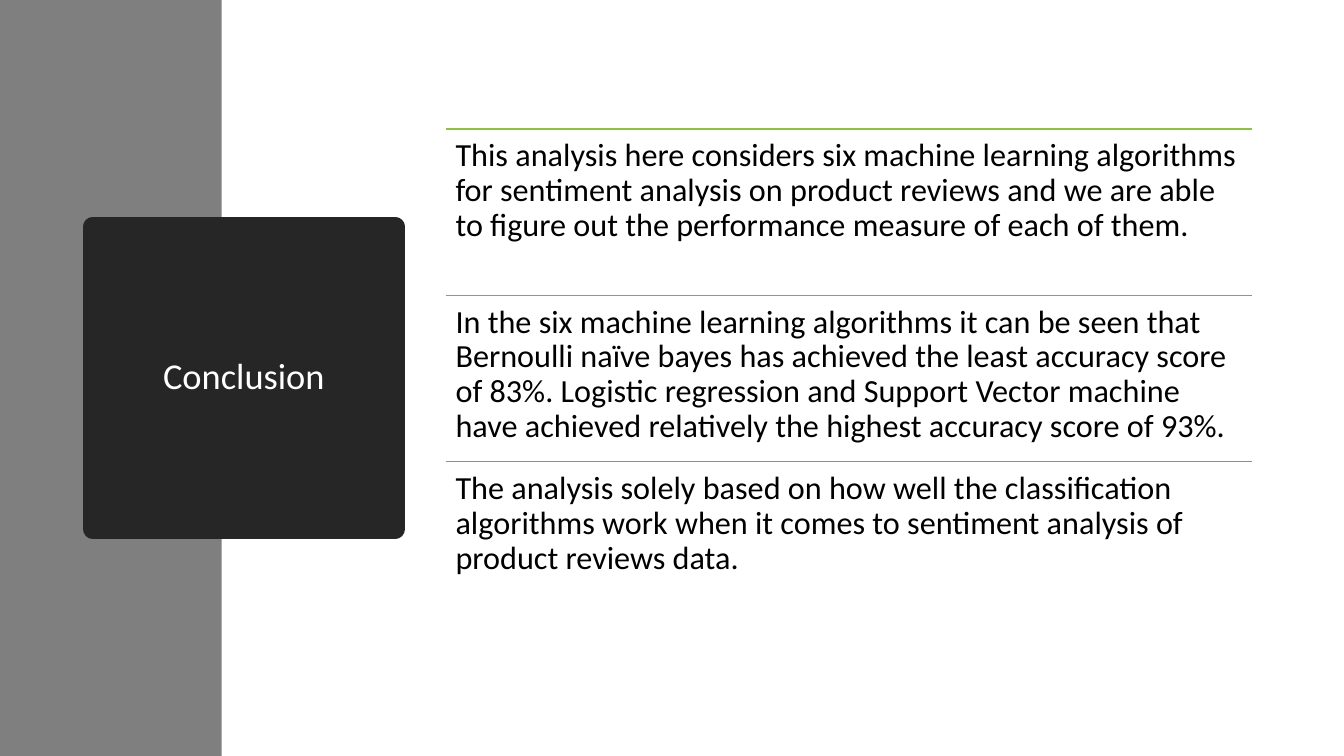
from dataclasses import dataclass

from lxml import etree
from pptx import Presentation
from pptx.dml.color import RGBColor
from pptx.enum.shapes import MSO_CONNECTOR as Connector, MSO_SHAPE as Shape
from pptx.enum.text import MSO_ANCHOR as Anchor, PP_ALIGN as Align
from pptx.oxml.ns import qn
from pptx.util import Inches, Pt


@dataclass(frozen=True)
class Theme:
    font: str = "Calibri"
    title_size: float = 26
    body_size: float = 23
    band: str = "7F7F7F"
    title_box: str = "262626"
    title_text: str = "FFFFFF"
    body_text: str = "000000"
    rules: tuple = ("8BC145", "3EC76A", "36AFCE")


FINDINGS = (
    "This analysis here considers six machine learning algorithms for sentiment "
    "analysis on product reviews and we are able to figure out the performance "
    "measure of each of them.",
    "In the six machine learning algorithms it can be seen that Bernoulli naïve "
    "bayes has achieved the least accuracy score of 83%. Logistic regression and "
    "Support Vector machine have achieved relatively the highest accuracy score of 93%.",
    "The analysis solely based on how well the classification algorithms work when "
    "it comes to sentiment analysis of product reviews data.",
)


def write_text(frame, text, *, font, size, color, align=Align.LEFT,
               anchor=Anchor.TOP, inset=0.1):
    frame.word_wrap = True
    frame.vertical_anchor = anchor
    frame.margin_left = frame.margin_right = Inches(inset)
    frame.margin_top = frame.margin_bottom = Inches(inset)
    para = frame.paragraphs[0]
    para.alignment = align
    para.line_spacing = 0.9
    span = para.add_run()
    span.text = text
    span.font.name = font
    span.font.size = Pt(size)
    span.font.color.rgb = RGBColor.from_string(color)


class SlideBuilder:
    def __init__(self, page, theme):
        self.page = page
        self.theme = theme

    def rectangle(self, left, top, width, height, color, border=0):
        """Draw a filled rectangle; a border has the fill colour and round corners."""
        box = self.page.shapes.add_shape(
            Shape.RECTANGLE, Inches(left), Inches(top), Inches(width), Inches(height))
        box.shadow.inherit = False
        box.fill.solid()
        box.fill.fore_color.rgb = RGBColor.from_string(color)
        if border:
            box.line.color.rgb = RGBColor.from_string(color)
            box.line.width = Pt(border)
            etree.SubElement(box.line._get_or_add_ln(), qn("a:round"))
        else:
            box.line.fill.background()
        return box

    def title(self, text, left, top, side):
        box = self.rectangle(left, top, side, side, self.theme.title_box, border=13.75)
        write_text(box.text_frame, text, font=self.theme.font,
                   size=self.theme.title_size, color=self.theme.title_text,
                   align=Align.CENTER, anchor=Anchor.MIDDLE)

    def rule(self, left, top, width, color):
        line = self.page.shapes.add_connector(
            Connector.STRAIGHT, Inches(left), Inches(top),
            Inches(left + width), Inches(top))
        line.line.color.rgb = RGBColor.from_string(color)
        line.line.width = Pt(1)
        etree.SubElement(line._element.spPr, qn("a:effectLst"))

    def finding(self, text, left, top, width, height, color):
        """Place a paragraph under a coloured rule."""
        self.rule(left, top, width, color)
        box = self.page.shapes.add_textbox(
            Inches(left), Inches(top), Inches(width), Inches(height))
        write_text(box.text_frame, text, font=self.theme.font,
                   size=self.theme.body_size, color=self.theme.body_text)


def main():
    deck = Presentation()
    deck.slide_width, deck.slide_height = Inches(13.33), Inches(7.5)
    theme = Theme()
    builder = SlideBuilder(deck.slides.add_slide(deck.slide_layouts[6]), theme)

    builder.rectangle(0, 0, 2.2, 7.5, theme.band)
    builder.title("Conclusion", 0.92, 2.25, 3)
    first_top, row_height = 1.28, 1.65
    for row, (text, color) in enumerate(zip(FINDINGS, theme.rules)):
        builder.finding(text, 4.42, first_top + row * row_height, 8, row_height, color)

    deck.save("out.pptx")


if __name__ == "__main__":
    main()
